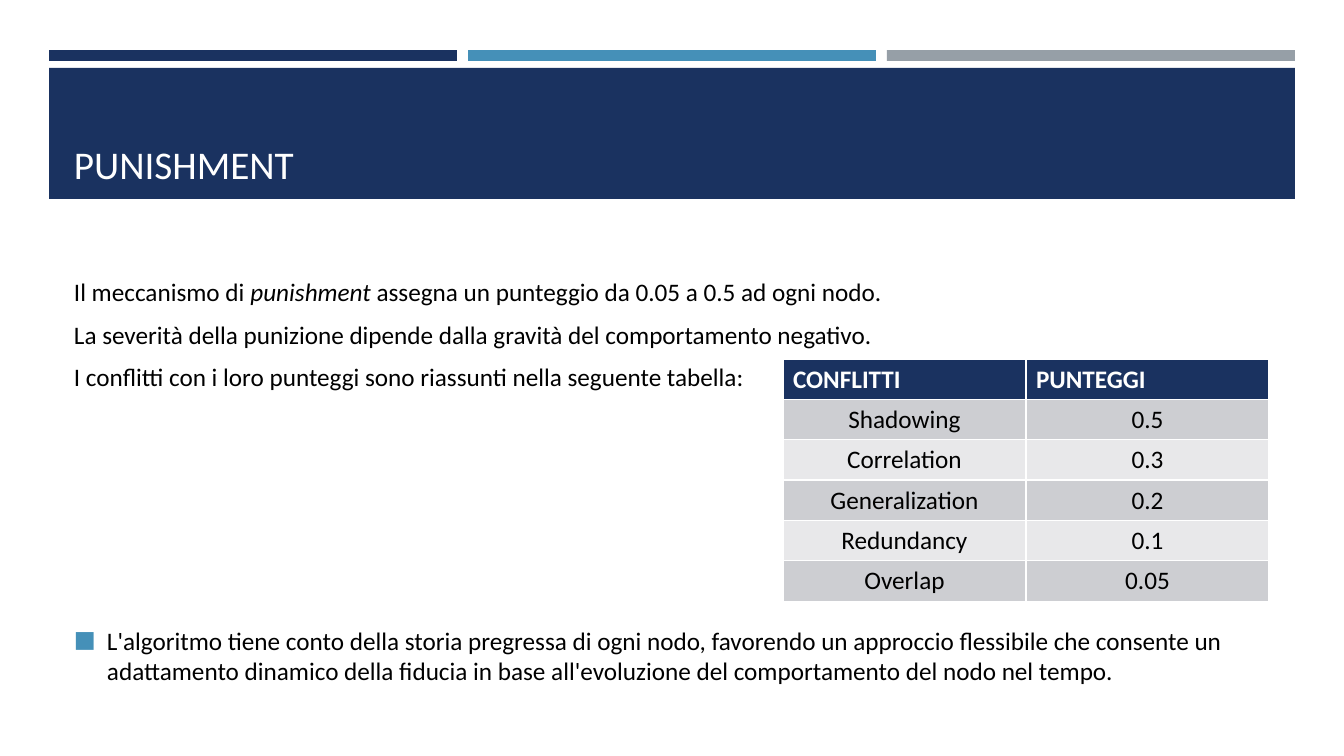
from lxml import etree
from pptx import Presentation
from pptx import util as u
from pptx.dml.color import RGBColor
from pptx.enum import shapes, text
from pptx.oxml.ns import qn

PX = 914400 / 100.8
NAVY, BLUE, GREY = "1A3260", "4590B8", "969FA7"
WHITE, BLACK = "FFFFFF", "000000"


def px(*lengths):
    return [u.Emu(round(length * PX)) for length in lengths]


def style(paragraph, size, color, bold=False):
    for run in paragraph.runs:
        run.font.name = "Calibri"
        run.font.size = u.Pt(size)
        run.font.bold = bold
        run.font.color.rgb = RGBColor.from_string(color)


prs = Presentation()
prs.slide_width, prs.slide_height = px(1344, 756)
slide = prs.slides.add_slide(prs.slide_layouts[6])

# Coloured strips and title band
bands = [(49 + i * 419, 50, 408, 11, color) for i, color in enumerate([NAVY, BLUE, GREY])]
bands.append((49, 68, 1246, 131, NAVY))
for left, top, width, height, color in bands:
    band = slide.shapes.add_shape(shapes.MSO_SHAPE.RECTANGLE, *px(left, top, width, height))
    band.fill.solid()
    band.fill.fore_color.rgb = RGBColor.from_string(color)
    band.line.fill.background()
    band.shadow.inherit = False

# Title, introduction and closing remark
INTRO = [
    ["Il meccanismo di ", "punishment", " assegna un punteggio da 0.05 a 0.5 ad ogni nodo."],
    ["La severità della punizione dipende dalla gravità del comportamento negativo."],
    ["I conflitti con i loro punteggi sono riassunti nella seguente tabella:"],
]
REMARK = [[
    "L'algoritmo tiene conto della storia pregressa di ogni nodo, favorendo un approccio "
    "flessibile che consente un adattamento dinamico della fiducia in base "
    "all'evoluzione del comportamento del nodo nel tempo."
]]
TOP, BOTTOM = text.MSO_ANCHOR.TOP, text.MSO_ANCHOR.BOTTOM
blocks = [
    ([["PUNISHMENT"]], 78, 109, 28, WHITE, BOTTOM),
    (INTRO, 276, 130, 18, BLACK, TOP),
    (REMARK, 625, 62, 18, BLACK, TOP),
]
for paragraphs, top, height, size, color, anchor in blocks:
    frame = slide.shapes.add_textbox(*px(74, top, 1228, height)).text_frame
    frame.word_wrap = True
    frame.vertical_anchor = anchor
    frame.margin_left = frame.margin_top = frame.margin_right = frame.margin_bottom = 0
    for i, pieces in enumerate(paragraphs):
        paragraph = frame.add_paragraph() if i else frame.paragraphs[0]
        for piece in pieces:
            run = paragraph.add_run()
            run.text = piece
            if piece == "punishment":
                run.font.italic = True
        if paragraphs is INTRO:
            paragraph.space_after = u.Pt(9)
        style(paragraph, size, color)

# Square bullet of the remark, the last block written
indent = px(33)[0]
bullet = paragraph._p.get_or_add_pPr()
bullet.set("marL", str(indent))
bullet.set("indent", str(-indent))
bullet_color = etree.SubElement(bullet, qn("a:buClr"))
etree.SubElement(bullet_color, qn("a:srgbClr"), val=BLUE)
etree.SubElement(bullet, qn("a:buSzPct"), val="92000")
etree.SubElement(bullet, qn("a:buFont"), typeface="Calibri")
etree.SubElement(bullet, qn("a:buChar"), char="■")

# Conflict scores
SCORES = [
    ("CONFLITTI", "PUNTEGGI"),
    ("Shadowing", "0.5"),
    ("Correlation", "0.3"),
    ("Generalization", "0.2"),
    ("Redundancy", "0.1"),
    ("Overlap", "0.05"),
]
scores = slide.shapes.add_table(len(SCORES), 2, *px(783, 359, 486, 242)).table
for r, values in enumerate(SCORES):
    for c, value in enumerate(values):
        cell = scores.cell(r, c)
        cell.text_frame.text = value
        fill = NAVY if r == 0 else "CDCED2" if r % 2 else "E8E8EA"
        cell.fill.solid()
        cell.fill.fore_color.rgb = RGBColor.from_string(fill)
        entry = cell.text_frame.paragraphs[0]
        if r:
            entry.alignment = text.PP_ALIGN.CENTER
        style(entry, 18, BLACK if r else WHITE, bold=r == 0)

prs.save("out.pptx")
